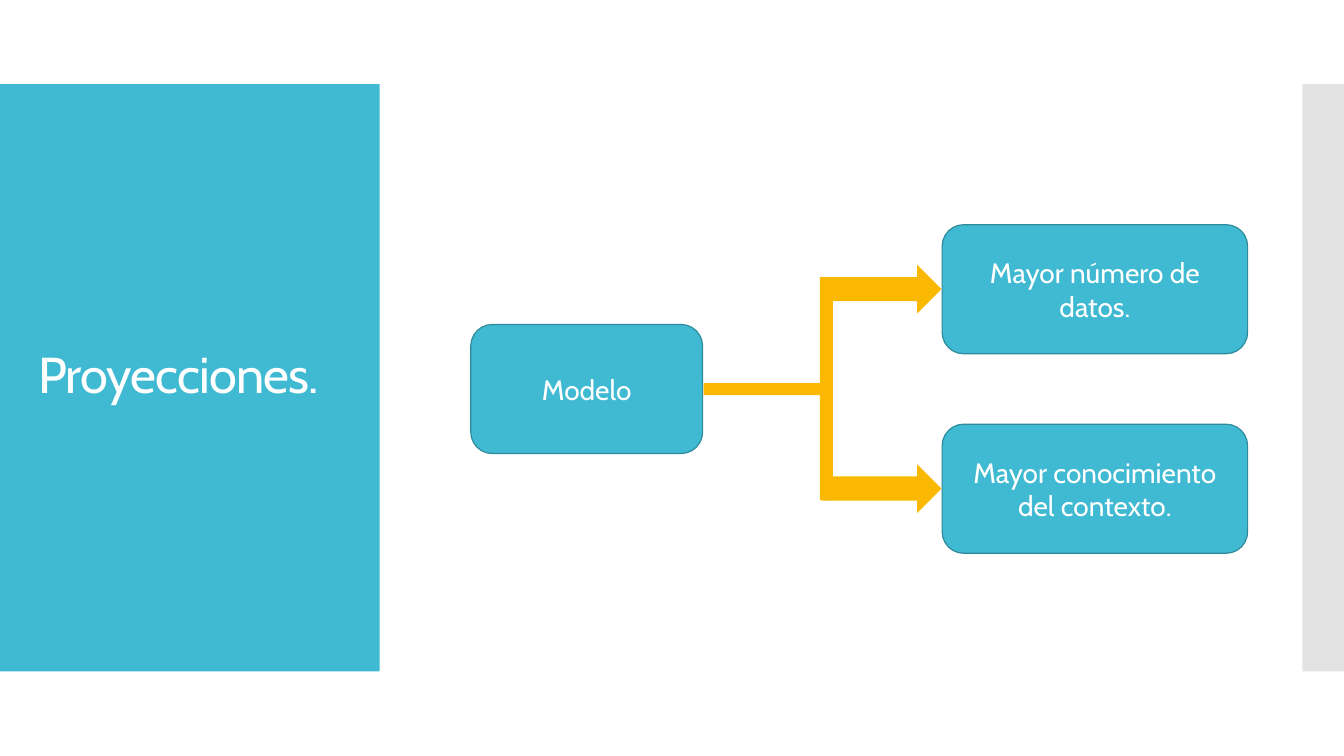
from lxml import etree
from pptx import Presentation
from pptx.dml.color import RGBColor
from pptx.enum.shapes import MSO_SHAPE
from pptx.enum.text import MSO_ANCHOR, PP_ALIGN
from pptx.oxml.ns import qn
from pptx.util import Pt

RECT = MSO_SHAPE.RECTANGLE
ROUNDED = MSO_SHAPE.ROUNDED_RECTANGLE
ARROW = MSO_SHAPE.RIGHT_ARROW
MIDDLE = MSO_ANCHOR.MIDDLE
LEFT, CENTER = PP_ALIGN.LEFT, PP_ALIGN.CENTER

TEAL = RGBColor(0x40, 0xBA, 0xD2)
DARK_TEAL = RGBColor(0x2F, 0x8A, 0x9B)
AMBER = RGBColor(0xFA, 0xB9, 0x00)
GREY = RGBColor(0xC8, 0xC8, 0xC8)
WHITE = RGBColor(0xFF, 0xFF, 0xFF)
FONT = "Cabin"

BOX_TOP, BOX_H, BOX_STEP = 160.5, 92.2, 142.5
OUTCOMES = ["Mayor número de datos.", "Mayor conocimiento del contexto."]


def add_block(shapes, kind, x, y, w, h, color):
    sp = shapes.add_shape(kind, Pt(x), Pt(y), Pt(w), Pt(h))
    sp.shadow.inherit = False
    sp.fill.solid()
    sp.fill.fore_color.rgb = color
    sp.line.fill.background()
    return sp


def set_alpha(sp, percent):
    clr = sp.fill._xPr.find(qn("a:solidFill"))[0]
    etree.SubElement(clr, qn("a:alpha")).set("val", str(percent * 1000))


def add_text(sp, text, size, align):
    tf = sp.text_frame
    tf.word_wrap = True
    tf.vertical_anchor = MIDDLE
    p = tf.paragraphs[0]
    p.alignment = align
    r = p.add_run()
    r.text = text
    r.font.size = Pt(size)
    r.font.name = FONT
    r.font.color.rgb = WHITE
    return p, r


def add_title(s, text):
    sp = s.shapes.add_textbox(Pt(20.2), Pt(88.6), Pt(231.8), Pt(362.2))
    p, r = add_text(sp, text, 36, LEFT)
    p.line_spacing = 0.9
    r.font._element.set("spc", "-60")


def add_box(s, x, y, w, text):
    sp = add_block(s.shapes, ROUNDED, x, y, w, BOX_H, TEAL)
    sp.line.color.rgb = DARK_TEAL
    sp.line.width = Pt(0.85)
    add_text(sp, text, 20, CENTER)


def add_fork(s):
    shapes = s.shapes.add_group_shape().shapes
    for i in range(2):
        add_block(shapes, ARROW, 586.8, 189.2 + i * BOX_STEP, 85.7, 34.6, AMBER)
    add_block(shapes, RECT, 502.6, 273.7, 91.4, 8.6, AMBER)
    for y in (198, 273.7):
        add_block(shapes, RECT, 585.6, y, 9.4, 83.5, AMBER)


def main():
    prs = Presentation()
    prs.slide_width, prs.slide_height = Pt(960), Pt(540)
    s = prs.slides.add_slide(prs.slide_layouts[6])
    add_block(s.shapes, RECT, 0, 60, 271.2, 419.5, TEAL)
    set_alpha(add_block(s.shapes, RECT, 930.2, 60, 29.8, 419.5, GREY), 50)
    add_title(s, "Proyecciones.")
    add_box(s, 336.3, BOX_TOP + BOX_STEP / 2, 165.6, "Modelo")
    add_fork(s)
    for i, text in enumerate(OUTCOMES):
        add_box(s, 673, BOX_TOP + i * BOX_STEP, 218.2, text)
    prs.save("out.pptx")


main()
